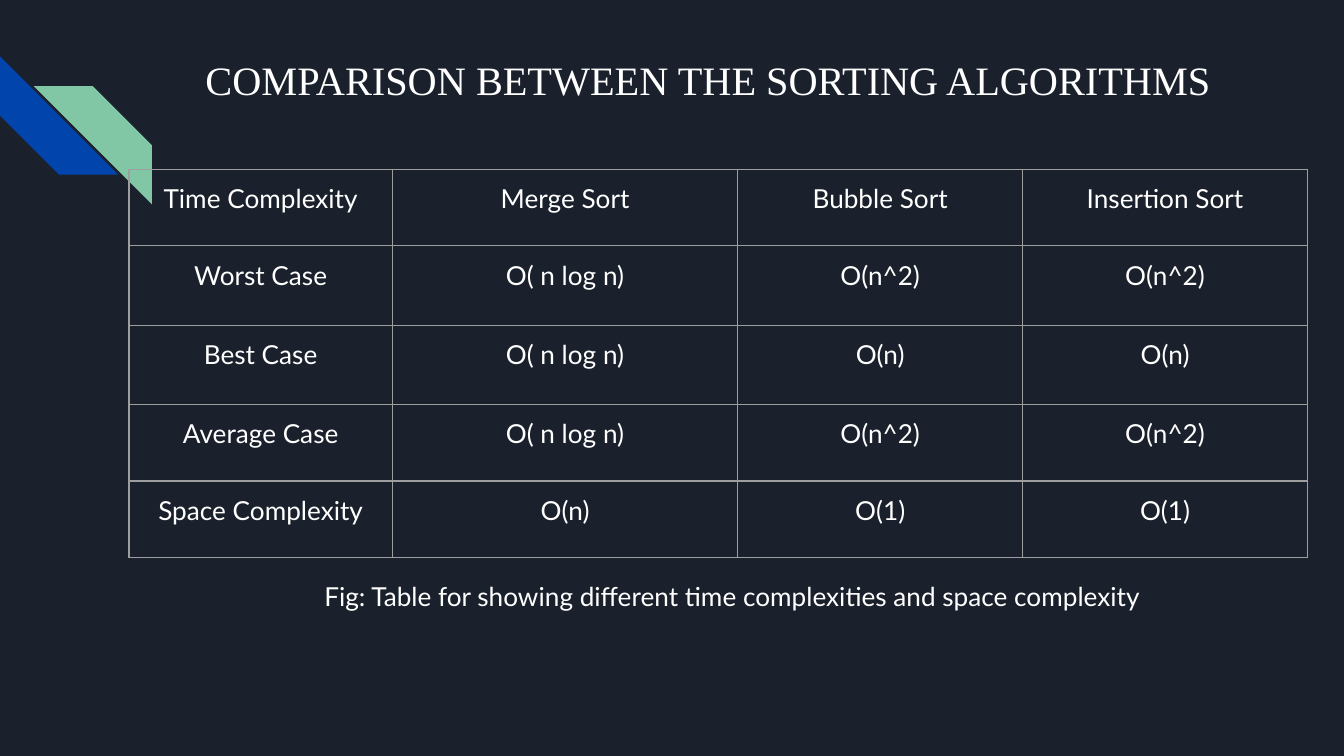
from lxml.etree import SubElement
from pptx import Presentation
from pptx.dml.color import RGBColor
from pptx.enum.shapes import MSO_SHAPE
from pptx.enum.text import MSO_ANCHOR, PP_ALIGN
from pptx.oxml.ns import qn
from pptx.util import Inches, Pt

COLORS = {"back": "1B212C", "blue": "0145AC", "green": "82C7A5",
          "text": "FFFFFF", "rule": "9E9E9E"}


def write(frame, text, size=14, font="Lato"):
    """Put one centred run into a text box or a table cell's frame."""
    frame.word_wrap = True
    frame.margin_left = frame.margin_right = Inches(0.1)
    frame.margin_top = frame.margin_bottom = Inches(0.1)
    frame.vertical_anchor = MSO_ANCHOR.TOP
    line = frame.paragraphs[0]
    line.alignment = PP_ALIGN.CENTER
    run = line.add_run()
    run.text = text
    run.font.size = Pt(size)
    run.font.name = font
    run.font.color.rgb = RGBColor.from_string(COLORS["text"])


def add_rules(cell):
    """Draw a thin line on all four sides of a cell."""
    props = cell._tc.get_or_add_tcPr()
    for index, side in enumerate(("lnL", "lnR", "lnT", "lnB")):
        rule = props.makeelement(qn(f"a:{side}"), {"w": str(Pt(0.75))})
        fill = SubElement(rule, qn("a:solidFill"))
        SubElement(fill, qn("a:srgbClr"), val=COLORS["rule"])
        props.insert(index, rule)


deck = Presentation()
deck.slide_width = Inches(10)
deck.slide_height = Inches(10 * 9 / 16)
slide = deck.slides.add_slide(deck.slide_layouts[6])
slide.background.fill.solid()
slide.background.fill.fore_color.rgb = RGBColor.from_string(COLORS["back"])

# Corner stripes
for left, top, turn, color in ((0, 0.42, 270, "blue"), (0.25, 0.64, 90, "green")):
    stripe = slide.shapes.add_shape(MSO_SHAPE.DIAGONAL_STRIPE, Inches(left),
                                    Inches(top), Inches(0.88), Inches(0.88))
    stripe.rotation = turn
    stripe.adjustments[0] = 0.5
    stripe.shadow.inherit = False
    stripe.fill.solid()
    stripe.fill.fore_color.rgb = RGBColor.from_string(COLORS[color])
    stripe.line.fill.background()

# Title
title = slide.shapes.add_textbox(Inches(1.42), Inches(0.31), Inches(7.7), Inches(0.87))
write(title.text_frame, "COMPARISON BETWEEN THE SORTING ALGORITHMS", 21.6,
      "Times New Roman")

# Complexity table
rows = [
    ("Time Complexity", "Merge Sort", "Bubble Sort", "Insertion Sort"),
    ("Worst Case", "O( n log n)", "O(n^2)", "O(n^2)"),
    ("Best Case", "O( n log n)", "O(n)", "O(n)"),
    ("Average Case", "O( n log n)", "O(n^2)", "O(n^2)"),
    ("Space Complexity", "O(n)", "O(1)", "O(1)"),
]
widths = (1.96, 2.57, 2.12, 2.12)
heights = (0.57, 0.59, 0.59, 0.57, 0.57)
table = slide.shapes.add_table(len(rows), len(widths), Inches(0.96), Inches(1.26),
                               Inches(sum(widths)), Inches(sum(heights))).table
table.first_row = table.horz_banding = False
for column, width in zip(table.columns, widths):
    column.width = Inches(width)
for row, height, texts in zip(table.rows, heights, rows):
    row.height = Inches(height)
    for cell, text in zip(row.cells, texts):
        cell.margin_left = cell.margin_right = Inches(0.1)
        cell.margin_top = cell.margin_bottom = Inches(0.1)
        cell.fill.background()
        add_rules(cell)
        write(cell.text_frame, text)

# Caption
caption = slide.shapes.add_textbox(Inches(1.6), Inches(4.22), Inches(7.7), Inches(0.49))
write(caption.text_frame,
      "Fig: Table for showing different time complexities and space complexity")

deck.save("out.pptx")
